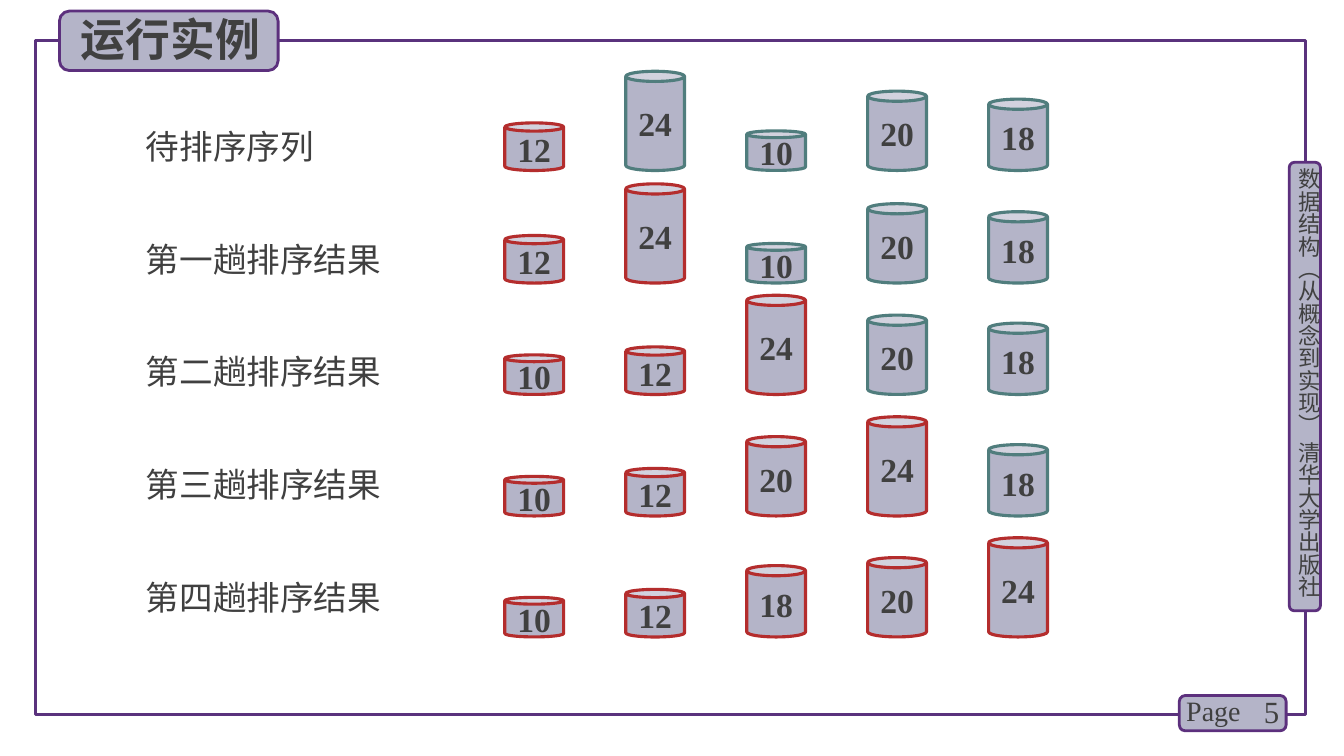
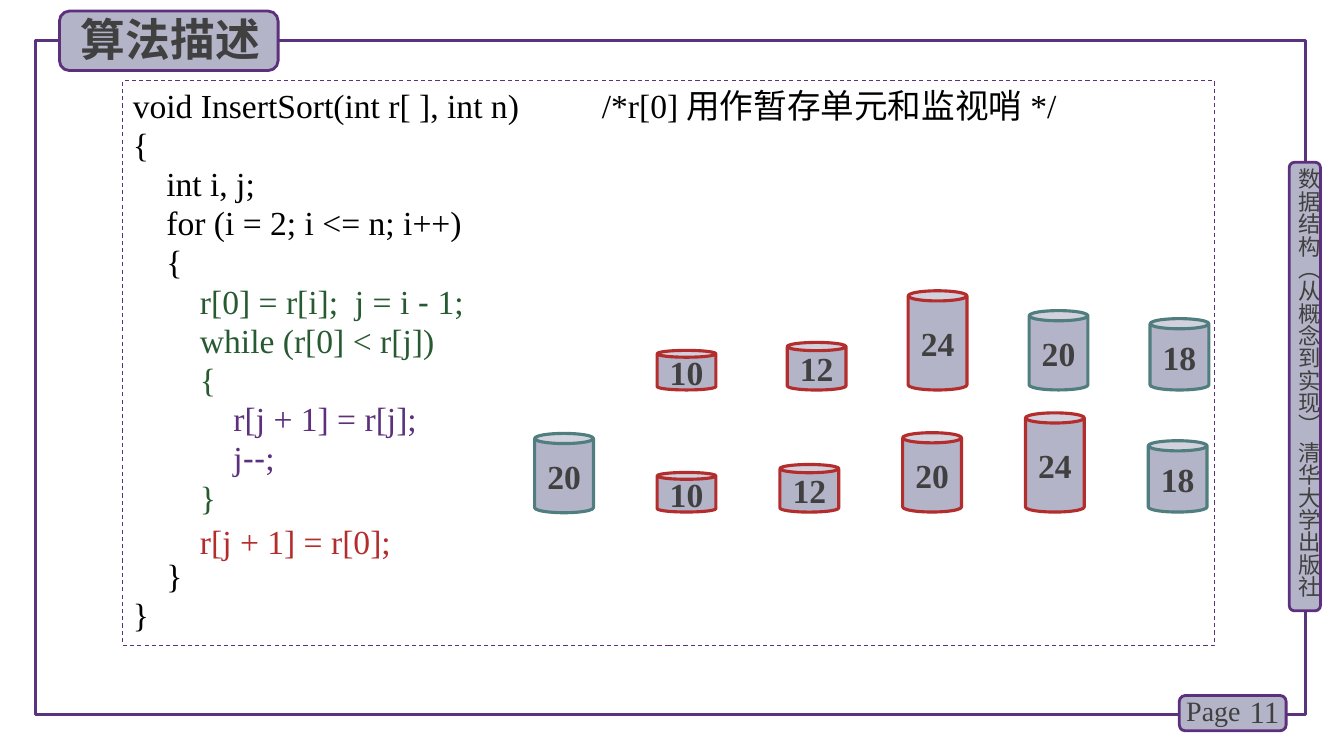
from itertools import groupby

from pptx import Presentation
from pptx.dml.color import RGBColor
from pptx.enum.dml import MSO_LINE as Dash
from pptx.enum.shapes import MSO_SHAPE as Kind
from pptx.enum.text import MSO_ANCHOR as Anchor, PP_ALIGN as Align
from pptx.oxml.ns import qn
from pptx.util import Pt
from lxml.etree import SubElement

INK, FILL, EDGE, FRAME = "404040", "B4B4C8", "5C307D", "5A327D"
RED, TEAL, GREEN, BLACK = "B42D2D", "507D7D", "285A32", "000000"
ROMAN, SANS, ARIAL = "Times New Roman", "Noto Sans CJK SC", "Arial"

TALL = {10: 28.3, 12: 34, 18: 51, 20: 56.7, 24: 70.9}
GAP = 86.4

PASSES = [
    ("待排序序列", [12, 24, 10, 20, 18], 121.8),
    ("第一趟排序结果", [12, 24, 10, 20, 18], 202.2),
    ("第二趟排序结果", [10, 12, 24, 20, 18], 281.8),
    ("第三趟排序结果", [10, 12, 20, 24, 18], 368.6),
    ("第四趟排序结果", [10, 12, 18, 20, 24], 455),
]

# text, colour, line pitch
CODE = [
    ("void InsertSort(int r[ ], int n)\t/*r[0]用作暂存单元和监视哨*/", BLACK, 28),
    ("{", BLACK, 28),
    ("    int i, j;", BLACK, 28),
    ("    for (i = 2; i <= n; i++)", BLACK, 28),
    ("    {", BLACK, 28),
    ("        r[0] = r[i];  j = i - 1;", GREEN, 28),
    ("        while (r[0] < r[j])", GREEN, 28),
    ("        {", GREEN, 28),
    ("            r[j + 1] = r[j];", EDGE, 28),
    ("            j--;", EDGE, 28),
    ("        }", GREEN, 28),
    ("        r[j + 1] = r[0];", RED, 32),
    ("    }", BLACK, 24),
    ("}", BLACK, 28),
]


def tint(code):
    return RGBColor.from_string(code)


def put(thing, vals):
    for name, val in vals.items():
        setattr(thing, name, val)


class Deck:
    def __init__(self):
        self.prs = Presentation()
        put(self.prs, {"slide_width": Pt(960), "slide_height": Pt(540)})
        self.slide = None

    def page(self, title, num):
        self.slide = self.prs.slides.add_slide(self.prs.slide_layouts[5])
        self.box(Kind.RECTANGLE, (25.2, 28.8, 907.2, 481.7), None, FRAME, 2.25)
        for area in ((920.9, 115.9, 22.3, 320.4), (842.4, 496.8, 76.3, 25.2),
                     (42.5, 7.9, 156.2, 42.5)):
            self.box(Kind.ROUNDED_RECTANGLE, area, FILL, EDGE, 2)
        self.side("数据结构（从概念到实现） 清华大学出版社")
        self.text(str(num), (878.4, 493.9, 42.5, 28.8), 22, ROMAN,
                  Align.RIGHT, Anchor.MIDDLE)
        self.text("Page", (840.2, 491.8, 56.2, 31.7), 20, ROMAN)
        self.title(title)

    def title(self, words):
        head = self.slide.shapes.title
        self.slide.shapes.element.append(head.element)
        self.place(head, (50.4, 5, 151.2, 46.1))
        put(head.text_frame, {"vertical_anchor": Anchor.TOP, "word_wrap": True})
        self.say(head.text_frame.paragraphs[0], words, 32, SANS, bold=True)

    def side(self, words):
        band = self.text(words, (925.2, 120.2, 19.4, 323.3), 16, SANS)
        band.element.txBody.bodyPr.set("vert", "eaVert")
        edges = ("left", "top", "right", "bottom")
        put(band.text_frame, {f"margin_{edge}": 0 for edge in edges})

    def place(self, shape, area):
        names = ("left", "top", "width", "height")
        put(shape, dict(zip(names, map(Pt, area))))

    def box(self, kind, area, fill, line, width):
        shape = self.slide.shapes.add_shape(kind, *map(Pt, area))
        shape.shadow.inherit = False
        if fill:
            shape.fill.solid()
            shape.fill.fore_color.rgb = tint(fill)
        else:
            shape.fill.background()
        shape.line.color.rgb = tint(line)
        shape.line.width = Pt(width)
        return shape

    def say(self, para, words, size, face, color=INK, bold=False,
            align=Align.LEFT):
        para.alignment = align
        run = para.add_run()
        run.text = words
        put(run.font, {"size": Pt(size), "name": face, "bold": bold})
        run.font.color.rgb = tint(color)
        SubElement(run.font._element, qn("a:ea")).set("typeface", SANS)

    def text(self, words, area, size, face, align=Align.LEFT,
             anchor=Anchor.TOP):
        shape = self.slide.shapes.add_textbox(*map(Pt, area))
        put(shape.text_frame, {"word_wrap": True, "vertical_anchor": anchor})
        self.say(shape.text_frame.paragraphs[0], words, size, face,
                 align=align)
        return shape

    def can(self, val, left, low, line):
        tall = TALL[val]
        shape = self.box(Kind.CAN, (left, low - tall, 42, tall), FILL, line,
                         2.25)
        shape.adjustments[0] = 0.173
        put(shape.text_frame, {"word_wrap": False,
                               "vertical_anchor": Anchor.MIDDLE})
        self.say(shape.text_frame.paragraphs[0], str(val), 24, ROMAN,
                 bold=True, align=Align.CENTER)

    def row(self, vals, left, low, done, gap=GAP):
        """Stand cans on one base line; the first `done` are sorted, in red."""
        for i, val in enumerate(vals):
            self.can(val, left + i * gap, low, RED if i < done else TEAL)

    def code(self, lines, area):
        shape = self.box(Kind.RECTANGLE, area, None, EDGE, 0.75)
        shape.line.dash_style = Dash.DASH
        frame = shape.text_frame
        put(frame, {"word_wrap": True, "vertical_anchor": Anchor.TOP})
        for i, (words, color, pitch) in enumerate(lines):
            para = frame.add_paragraph() if i else frame.paragraphs[0]
            if "\t" in words:
                self.tab(para, 335)
            para.line_spacing = Pt(pitch)
            for dash, part in groupby(words, lambda char: char == "-"):
                self.say(para, "".join(part), 24, ARIAL if dash else ROMAN,
                         color)

    def tab(self, para, pos):
        tabs = SubElement(para._p.get_or_add_pPr(), qn("a:tabLst"))
        stop = SubElement(tabs, qn("a:tab"))
        stop.set("pos", str(Pt(pos)))
        stop.set("algn", "l")


def main():
    deck = Deck()

    deck.page("运行实例", 5)
    for i, (label, vals, low) in enumerate(PASSES):
        deck.row(vals, 360.6, low, i + 1)
        deck.text(label, (97.2, 86.4 + i * 80.5, 211, 36), 24, SANS)

    deck.page("算法描述", 11)
    deck.code(CODE, (87.8, 57.6, 779.8, 403.2))
    deck.row([10], 469.4, 278.6, 1)
    deck.row([12, 24, 20, 18], 562.3, 278.6, 2)
    deck.row([20], 381.9, 366.3, 0)
    deck.row([10, 12, 20, 24, 18], 469.4, 365.8, 4, 87.7)

    deck.prs.save("out.pptx")


if __name__ == "__main__":
    main()
